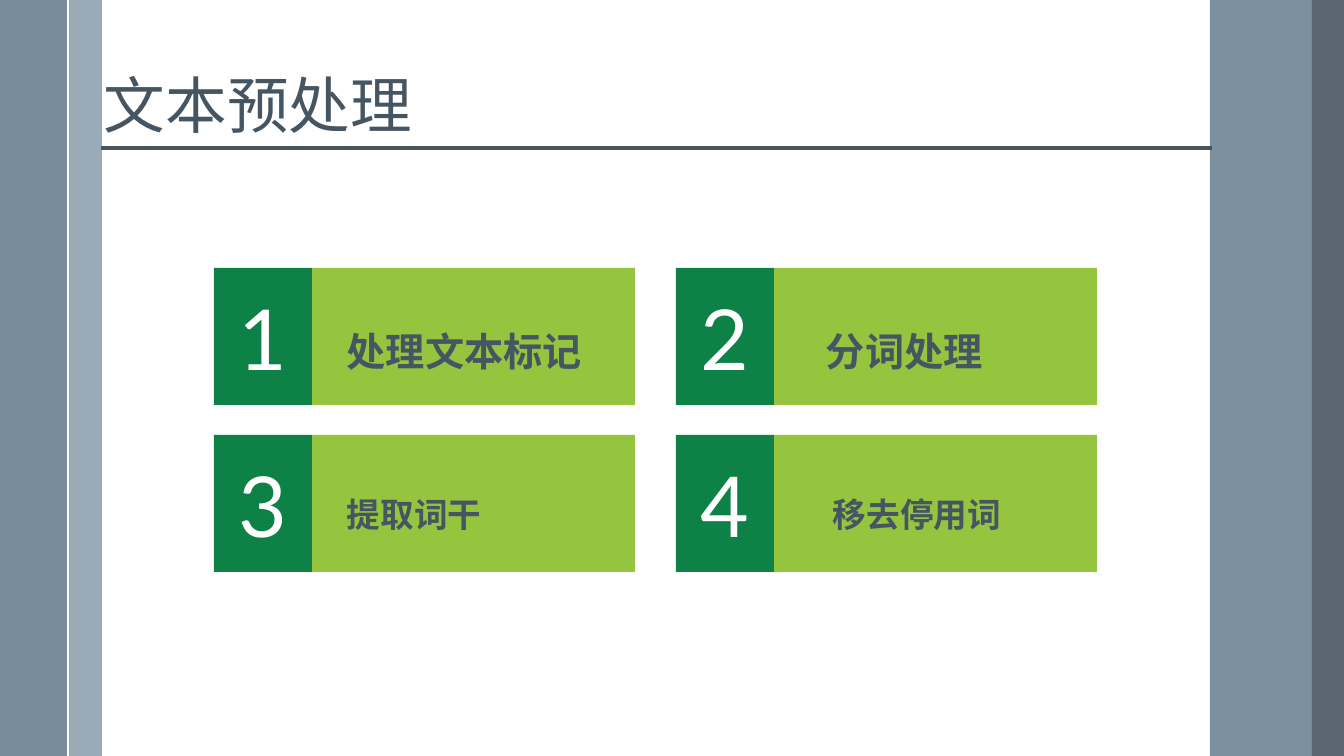
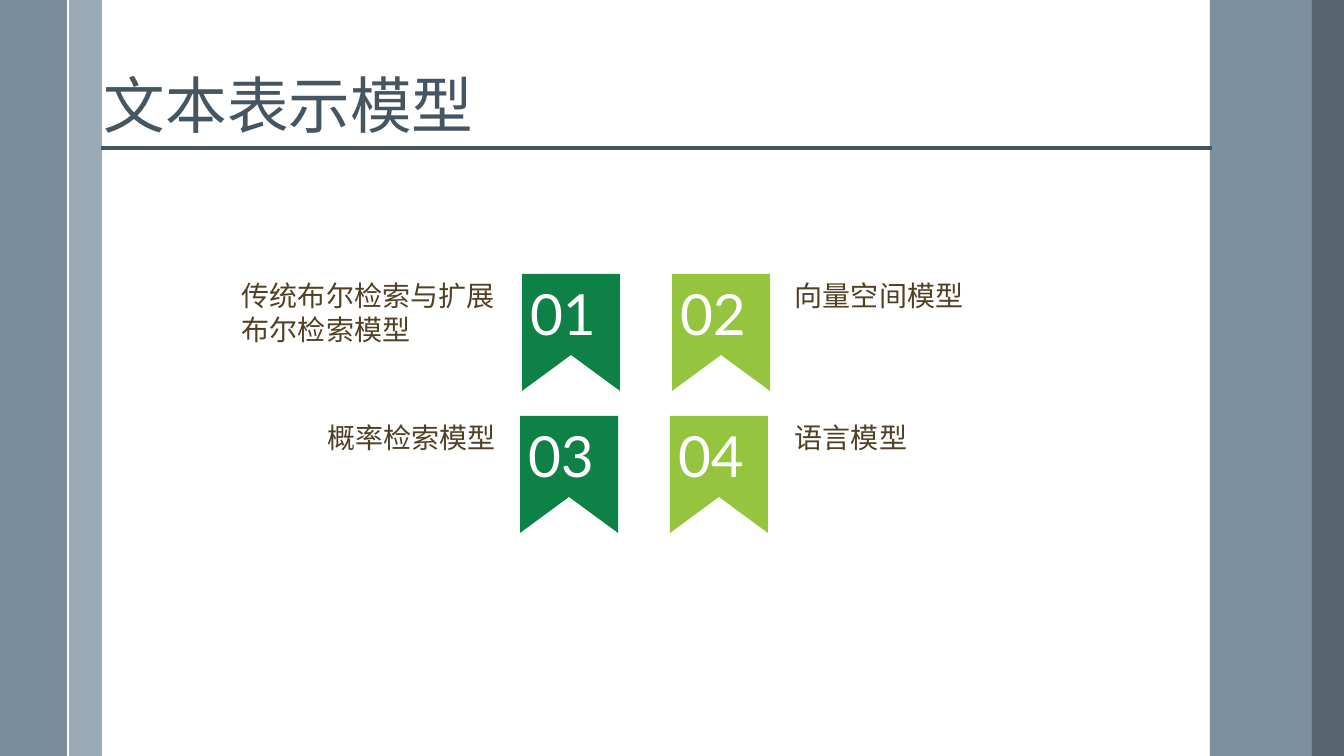
from lxml import etree
from pptx import Presentation
from pptx import util as u
from pptx.dml.color import RGBColor
from pptx.enum import shapes, text
from pptx.oxml.ns import qn

PX = 9071  # EMU in one px; a page is 1344 x 756 px
SLATE, BROWN, WHITE = "465562", "514024", "FFFFFF"
GREEN, LIME = "0E8146", "95C53E"
LEFT, CENTER, RIGHT = text.PP_ALIGN.LEFT, text.PP_ALIGN.CENTER, text.PP_ALIGN.RIGHT
TOP, MIDDLE, BOTTOM = text.MSO_ANCHOR.TOP, text.MSO_ANCHOR.MIDDLE, text.MSO_ANCHOR.BOTTOM
RECTANGLE = shapes.MSO_SHAPE.RECTANGLE


def paint(fill, color):
    """Make the fill of a shape, line or font one solid colour."""
    fill.solid()
    fill.fore_color.rgb = RGBColor.from_string(color)


def write(box, words, size, color, align=LEFT, anchor=TOP, bold=False):
    frame = box.text_frame
    frame.word_wrap = True
    frame.vertical_anchor = anchor
    para = frame.paragraphs[0]
    para.text = words
    para.alignment = align
    para.font.name = "Lato"
    para.font.size = u.Pt(size)
    para.font.bold = bold
    paint(para.font.fill, color)


deck = Presentation()
deck.slide_width, deck.slide_height = 1344 * PX, 756 * PX

# Shared frame: left, width, colour, opacity in percent
BANDS = [
    (69, 33, "9BAAB7", 100),
    (0, 67, "6A8093", 90),
    (1210, 102, "6A8093", 87),
    (1312, 32, "475562", 90),
]
# Start, end, colour, width in points
RULES = [
    ((68, 0), (68, 756), WHITE, 1.5),
    ((101, 148), (1212, 148), SLATE, 3),
]

pages = []
for title in ("文本预处理", "文本表示模型"):
    page = deck.slides.add_slide(deck.slide_layouts[6])
    pages.append(page)
    for left, width, color, opacity in BANDS:
        band = page.shapes.add_shape(RECTANGLE, left * PX, 0, width * PX, 756 * PX)
        paint(band.fill, color)
        color_node = band.element.spPr.find(qn("a:solidFill"))[0]
        etree.SubElement(color_node, qn("a:alpha"), val=str(opacity * 1000))
    for (x1, y1), (x2, y2), color, weight in RULES:
        rule = page.shapes.add_connector(
            shapes.MSO_CONNECTOR.STRAIGHT, x1 * PX, y1 * PX, x2 * PX, y2 * PX)
        paint(rule.line.fill, color)
        rule.line.width = u.Pt(weight)
        etree.SubElement(rule.element.spPr, qn("a:effectLst"))
    heading = page.shapes.add_textbox(94 * PX, 2 * PX, 1111 * PX, 144 * PX)
    write(heading, title, 44, SLATE, anchor=BOTTOM)

preprocessing, models = pages

# Numbered cards in a 2 x 2 grid: label, its size, its offset in the card
STEPS = [
    ("处理文本标记", 28, 123),
    ("分词处理", 28, 140),
    ("提取词干", 24, 123),
    ("移去停用词", 24, 147),
]
for index, (label, size, indent) in enumerate(STEPS):
    row, column = divmod(index, 2)
    left, top = 214 + 462 * column, 268 + 167 * row
    number = preprocessing.shapes.add_shape(
        RECTANGLE, left * PX, top * PX, 98 * PX, 137 * PX)
    paint(number.fill, GREEN)
    write(number, str(index + 1), 60, WHITE, CENTER, MIDDLE)
    panel = preprocessing.shapes.add_shape(
        RECTANGLE, (left + 98) * PX, top * PX, 323 * PX, 137 * PX)
    paint(panel.fill, LIME)
    caption = preprocessing.shapes.add_textbox(
        (left + indent) * PX, (top + 54) * PX, 274 * PX, 57 * PX)
    write(caption, label, size, SLATE, bold=True)

# Ribbons in a 2 x 2 grid, the lower row 2 px further left
MODELS = [
    ("传统布尔检索与扩展布尔检索模型", LEFT),
    ("向量空间模型", LEFT),
    ("概率检索模型", RIGHT),
    ("语言模型", LEFT),
]
for index, (label, align) in enumerate(MODELS):
    row, column = divmod(index, 2)
    left, top = 522 + 150 * column - 2 * row, 274 + 142 * row
    outline = models.shapes.build_freeform(left, top, scale=PX)
    outline.add_line_segments([
        (left + 98, top), (left + 98, top + 117),
        (left + 49, top + 81), (left, top + 117)])
    ribbon = outline.convert_to_shape()
    paint(ribbon.fill, (GREEN, LIME)[column])
    write(ribbon, f"{index + 1:02}", 40.5, WHITE, CENTER)
    ribbon.text_frame.margin_left = 0
    ribbon.text_frame.margin_right = 16 * PX
    caption = models.shapes.add_textbox(
        (232, 785)[column] * PX, top * PX, 274 * PX, 78 * PX)
    write(caption, label, 20, BROWN, align)

for page in pages:
    for shape in page.shapes:
        if shape.shape_type in (shapes.MSO_SHAPE_TYPE.AUTO_SHAPE, shapes.MSO_SHAPE_TYPE.FREEFORM):
            shape.line.fill.background()
            shape.shadow.inherit = False

deck.save("out.pptx")
